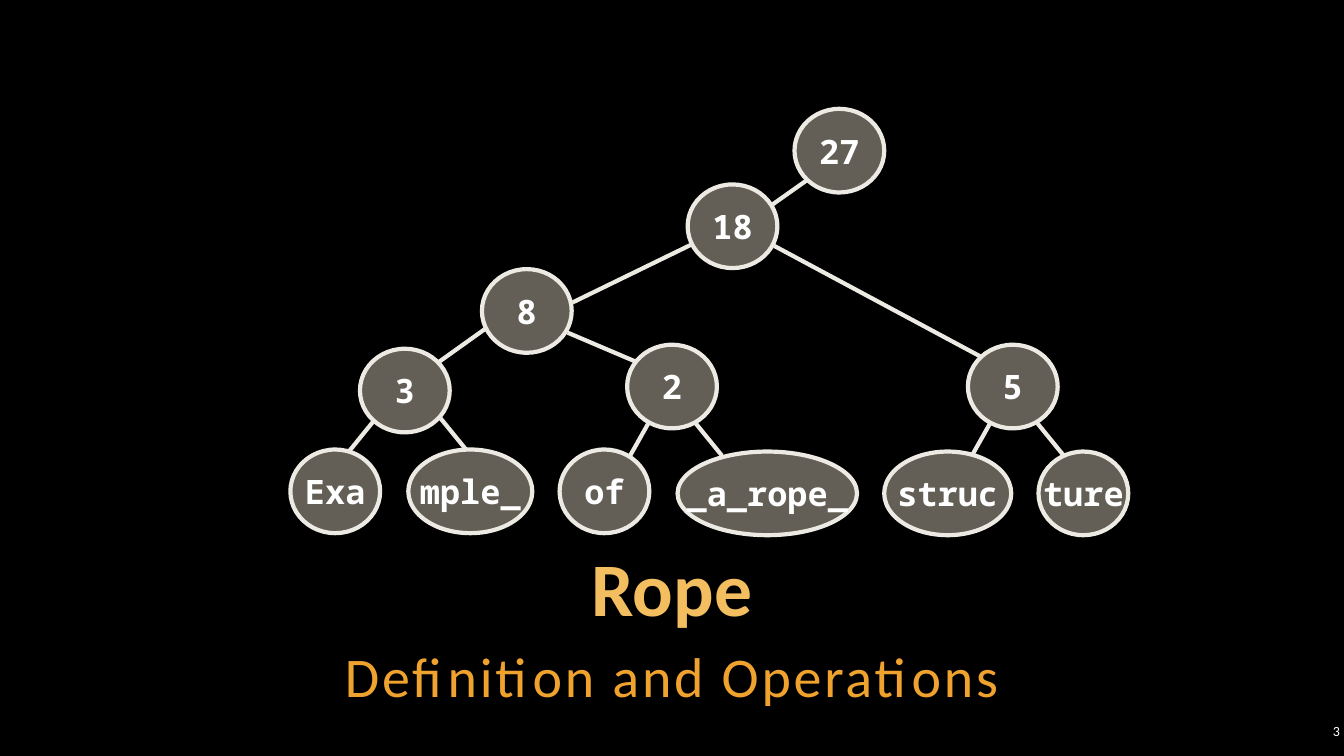
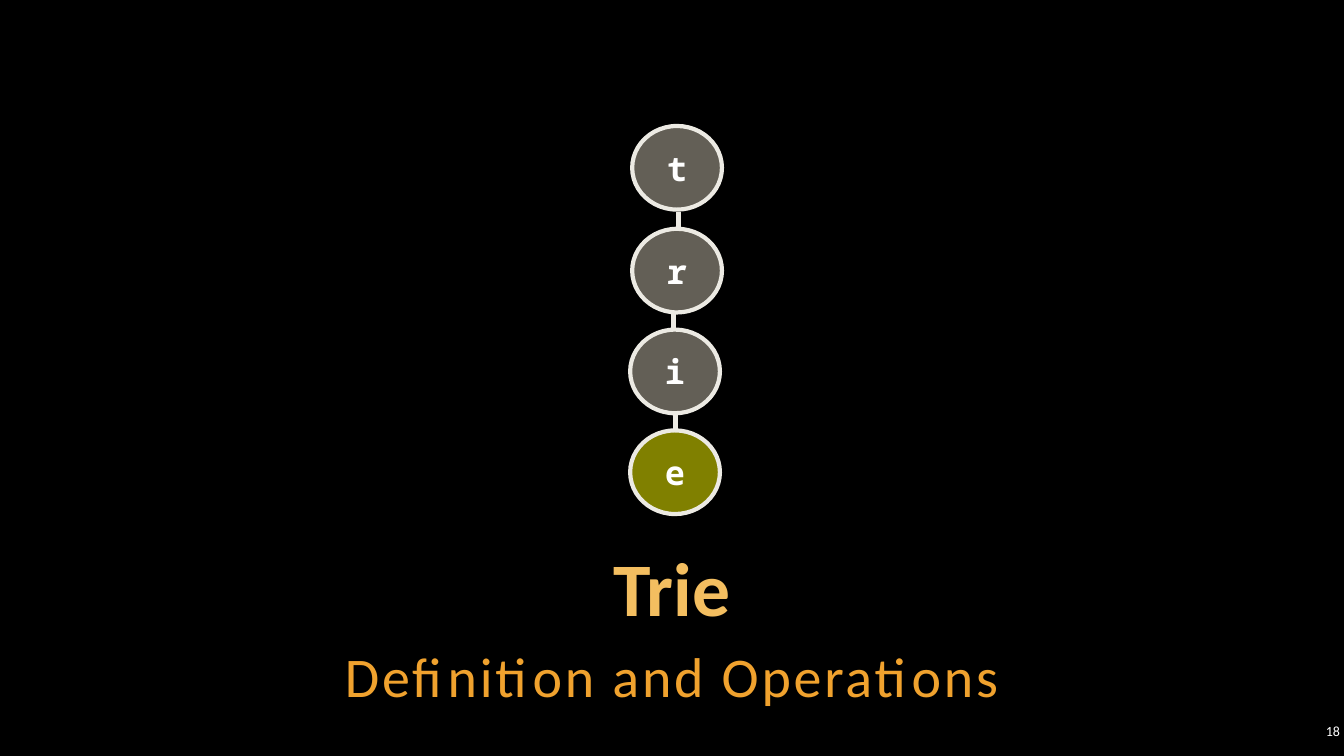
from dataclasses import dataclass

from lxml import etree
from pptx import Presentation
from pptx import util as u
from pptx.dml.color import RGBColor
from pptx.enum import shapes, text
from pptx.oxml.ns import qn


@dataclass(frozen=True)
class Theme:
    back: str = "000000"
    title: str = "F3BE60"
    subtitle: str = "F0A22E"
    ink: str = "FFFFFF"
    edge: str = "ECEAE3"
    node: str = "C7BFAC"
    end_node: str = "FFFF00"
    sans: str = "Calibri"
    mono: str = "Noto Sans Mono"
    title_size: int = 54
    subtitle_size: int = 40
    node_size: int = 24
    number_size: int = 10
    line: int = 3
    opacity: int = 50


t = Theme()
prs = Presentation()
prs.slide_width, prs.slide_height = u.Inches(13.33), u.Inches(7.5)
COL, ROW = prs.slide_width / 13.33, prs.slide_height / 7.5
NODE_W, NODE_H = 0.89, 0.83
MIDDLE = text.MSO_ANCHOR.MIDDLE
CENTER = text.PP_ALIGN.CENTER


def put_text(sp, words, size, color, font=t.sans, bold=False, align=CENTER,
             anchor=MIDDLE, wrap=True, inset=0.04, leading=1.0, after=0, spread=0):
    tf = sp.text_frame
    tf.word_wrap = wrap
    tf.vertical_anchor = anchor
    tf.margin_left = tf.margin_right = u.Inches(inset)
    tf.margin_top = tf.margin_bottom = u.Inches(0.04)
    p = tf.paragraphs[0]
    p.alignment = align
    p.line_spacing = leading
    p.space_after = u.Pt(after)
    r = p.add_run()
    r.text = words
    r.font.name, r.font.size, r.font.bold = font, u.Pt(size), bold
    r.font.color.rgb = RGBColor.from_string(color)
    if spread:
        r.font._element.set("spc", str(spread * 100))


def place(x, y, w, h):
    return [round(v) for v in (x * COL, y * ROW, w * COL, h * ROW)]


slides = [
    dict(
        title="Rope",
        number="3",
        nodes=[
            ("27", 7.88, 1.08, NODE_W, t.node),
            ("18", 6.82, 1.83, NODE_W, t.node),
            ("8", 4.78, 2.67, NODE_W, t.node),
            ("3", 3.57, 3.46, NODE_W, t.node),
            ("2", 6.22, 3.42, NODE_W, t.node),
            ("5", 9.6, 3.42, NODE_W, t.node),
            ("Exa", 2.88, 4.46, NODE_W, t.node),
            ("mple_", 4.05, 4.46, 1.23, t.node),
            ("of", 5.55, 4.46, NODE_W, t.node),
            ("_a_rope_", 6.72, 4.48, 1.78, t.node),
            ("struc", 8.77, 4.48, 1.26, t.node),
            ("ture", 10.3, 4.48, NODE_W, t.node),
        ],
        edges=[
            (8, 1.79, 7.66, 2.03),
            (6.85, 2.43, 5.68, 3),
            (7.68, 2.44, 9.73, 3.54),
            (4.83, 3.25, 4.34, 3.6),
            (5.63, 3.3, 6.31, 3.59),
            (3.72, 4.16, 3.46, 4.48),
            (4.37, 4.15, 4.63, 4.47),
            (6.43, 4.2, 6.25, 4.52),
            (6.9, 4.2, 7.16, 4.52),
            (9.82, 4.2, 9.64, 4.52),
            (10.29, 4.2, 10.55, 4.52),
        ],
    ),
    dict(
        title="Trie",
        number="18",
        nodes=[
            ("t", 6.27, 1.25, NODE_W, t.node),
            ("r", 6.27, 2.27, NODE_W, t.node),
            ("i", 6.25, 3.27, NODE_W, t.node),
            ("e", 6.25, 4.27, NODE_W, t.end_node),
        ],
        edges=[
            (6.73, 2.1, 6.73, 2.28),
            (6.68, 3.09, 6.68, 3.27),
            (6.7, 4.08, 6.7, 4.26),
        ],
    ),
]

bg = prs.slide_master.background.fill
bg.solid()
bg.fore_color.rgb = RGBColor.from_string(t.back)

for page in slides:
    s = prs.slides.add_slide(prs.slide_layouts[6])

    put_text(s.shapes.add_textbox(*place(1, 5.42, 11.33, 0.9)), page["title"],
             t.title_size, t.title, bold=True, anchor=text.MSO_ANCHOR.BOTTOM, leading=0.9)
    put_text(s.shapes.add_textbox(*place(1, 6.29, 11.33, 0.79)), "Definition and Operations",
             t.subtitle_size, t.subtitle, anchor=text.MSO_ANCHOR.TOP,
             leading=1.05, after=6, spread=2)
    put_text(s.shapes.add_textbox(*place(12.86, 7.14, 0.47, 0.22)), page["number"],
             t.number_size, t.ink, align=text.PP_ALIGN.RIGHT)

    for edge in page["edges"]:
        ln = s.shapes.add_connector(shapes.MSO_CONNECTOR.STRAIGHT, *place(*edge))
        ln.line.width = u.Pt(t.line)
        ln.line.color.rgb = RGBColor.from_string(t.edge)
        etree.SubElement(ln._element.spPr, qn("a:effectLst"))

    for label, x, y, w, color in page["nodes"]:
        sp = s.shapes.add_shape(shapes.MSO_SHAPE.OVAL, *place(x, y, w, NODE_H))
        sp.shadow.inherit = False
        sp.fill.solid()
        sp.fill.fore_color.rgb = RGBColor.from_string(color)
        rgb = sp._element.spPr.find(".//" + qn("a:srgbClr"))
        etree.SubElement(rgb, qn("a:alpha"), val=str(t.opacity * 1000))
        sp.line.width = u.Pt(t.line)
        sp.line.color.rgb = RGBColor.from_string(t.edge)
        put_text(sp, label, t.node_size, t.ink, font=t.mono, bold=True,
                 wrap=False, inset=0.1)

prs.save("out.pptx")
